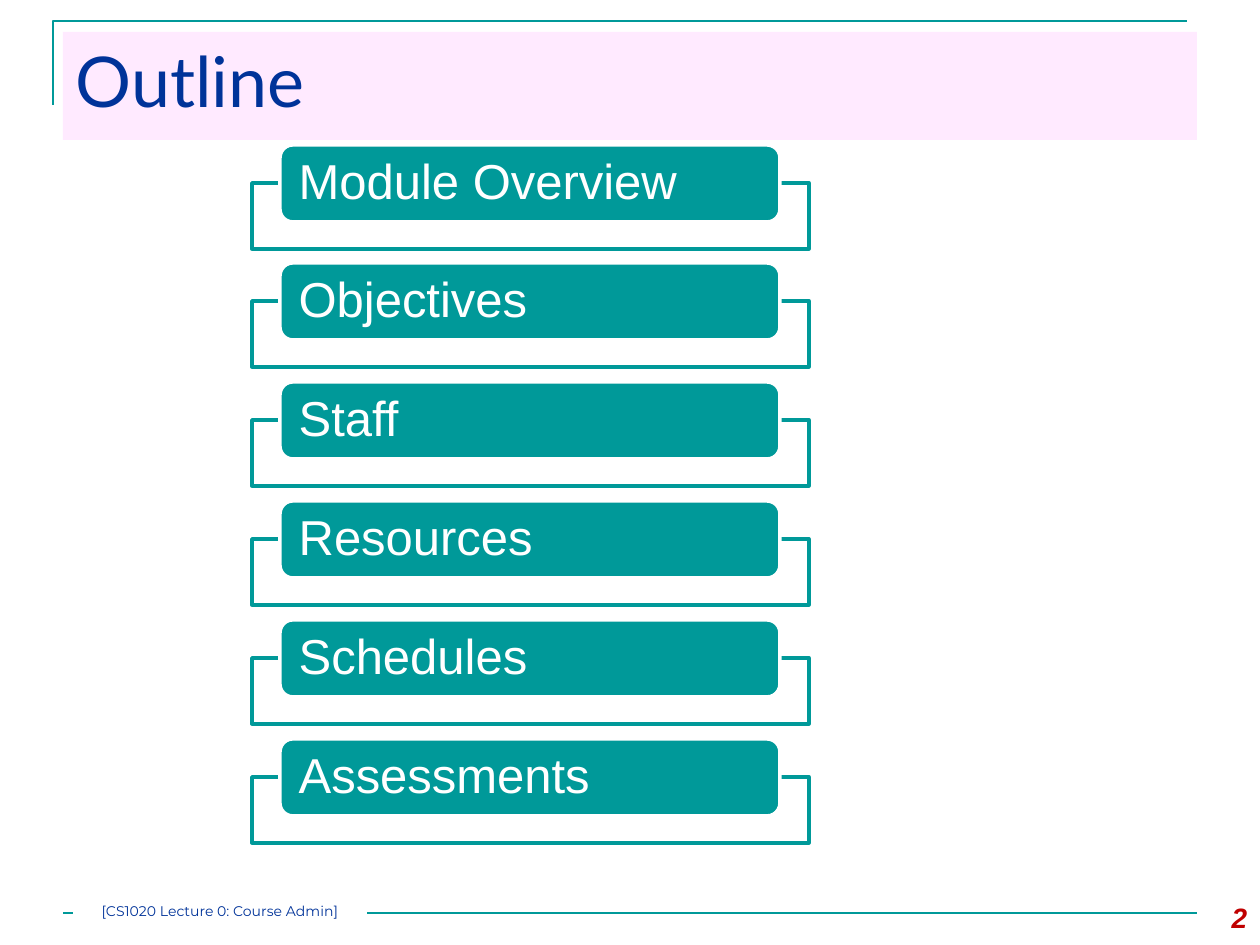
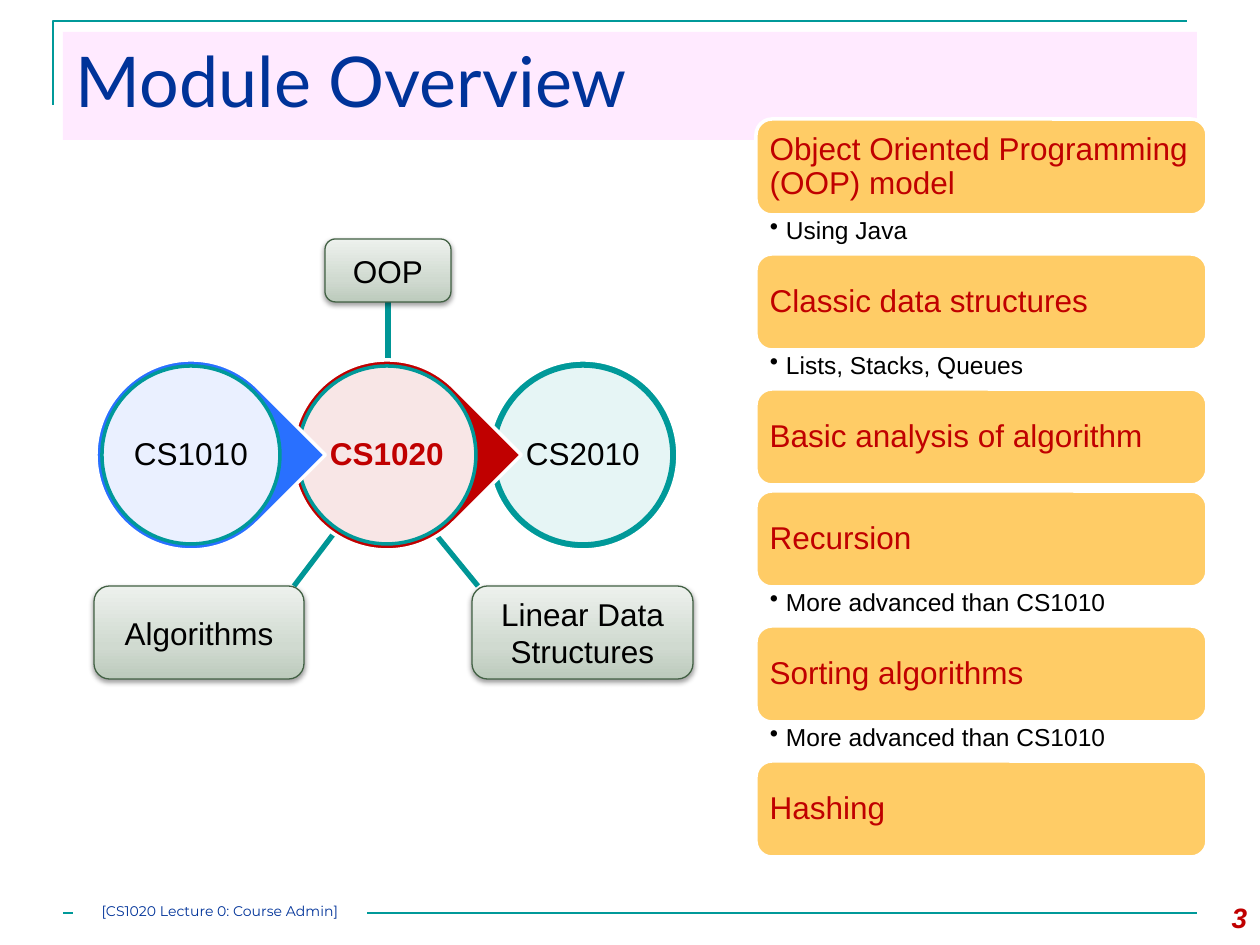
from dataclasses import dataclass

from lxml.etree import SubElement
from pptx import Presentation
from pptx.dml.color import RGBColor
from pptx.enum.shapes import MSO_CONNECTOR, MSO_SHAPE
from pptx.enum.text import MSO_ANCHOR, PP_ALIGN
from pptx.oxml.ns import qn
from pptx.util import Emu, Pt

EMU_PER_PX = 914400 / 126


@dataclass(frozen=True)
class Theme:
    teal: str = "009999"
    link: str = "009696"
    navy: str = "003399"
    red: str = "C00000"
    blue: str = "2970FF"
    pink: str = "FFCCFF"
    amber: str = "FFCC66"
    white: str = "FFFFFF"
    black: str = "000000"
    sage_edge: str = "426144"
    sage_stops: tuple = ((0, "BCCABC"), (35, "D0DAD0"), (100, "EDF1ED"))
    body_font: str = "Arial"
    title_font: str = "Lato"
    footer_font: str = "Montserrat"
    title_size: int = 40
    outline_size: int = 28
    label_size: int = 18
    page_size: int = 16
    bullet_size: int = 14
    footer_size: int = 8


THEME = Theme()


# Basic helpers
def px(length):
    return Emu(round(length * EMU_PER_PX))


def color(value):
    return RGBColor.from_string(value)


def add_box(slide, kind, left, top, width, height, fill=None, line=None,
            weight=2, opacity=100):
    shape = slide.shapes.add_shape(kind, px(left), px(top), px(width), px(height))
    shape.shadow.inherit = False
    if fill:
        shape.fill.solid()
        shape.fill.fore_color.rgb = color(fill)
        if opacity < 100:
            solid = shape._element.spPr.find(qn("a:solidFill"))
            SubElement(solid[0], qn("a:alpha"), val=str(opacity * 1000))
    if line:
        shape.line.color.rgb = color(line)
        shape.line.width = Pt(weight)
    else:
        shape.line.fill.background()
    return shape


def add_text_box(slide, left, top, width, height):
    return slide.shapes.add_textbox(px(left), px(top), px(width), px(height))


def write(shape, text, size, ink, font=THEME.body_font, align=PP_ALIGN.LEFT,
          anchor=MSO_ANCHOR.MIDDLE, insets=(13, 6), spacing=None,
          bold=False, italic=False):
    frame = shape.text_frame
    frame.word_wrap = True
    frame.vertical_anchor = anchor
    frame.margin_left = frame.margin_right = px(insets[0])
    frame.margin_top = frame.margin_bottom = px(insets[1])
    paragraph = frame.paragraphs[0]
    paragraph.alignment = align
    if spacing:
        paragraph.line_spacing = spacing
    run = paragraph.add_run()
    run.text = text
    run.font.name = font
    run.font.size = Pt(size)
    run.font.bold = bold
    run.font.italic = italic
    run.font.color.rgb = color(ink)
    return paragraph


def add_line(slide, start, end, ink, weight):
    connector = slide.shapes.add_connector(
        MSO_CONNECTOR.STRAIGHT, *(px(value) for value in (*start, *end)))
    connector.line.color.rgb = color(ink)
    connector.line.width = Pt(weight)
    SubElement(connector._element.spPr, qn("a:effectLst"))
    return connector


# Frame shared by every slide
def add_frame(slide, title, number):
    builder = slide.shapes.build_freeform(53, 105, scale=EMU_PER_PX)
    builder.add_line_segments([(53, 21), (1187, 21)], close=False)
    corner = builder.convert_to_shape()
    corner.shadow.inherit = False
    corner.fill.background()
    corner.line.color.rgb = color(THEME.teal)
    corner.line.width = Pt(1.5)

    add_line(slide, (63, 913), (1197, 913), THEME.teal, 1.5)
    footer = add_box(slide, MSO_SHAPE.RECTANGLE, 73, 903, 294, 21, THEME.white)
    write(footer, "[CS1020 Lecture 0: Course Admin]", THEME.footer_size, THEME.navy,
          THEME.footer_font, PP_ALIGN.CENTER, MSO_ANCHOR.TOP, (0, 0))

    page = add_text_box(slide, 1176, 895, 84, 50)
    write(page, str(number), THEME.page_size, THEME.red, align=PP_ALIGN.RIGHT,
          anchor=MSO_ANCHOR.TOP, bold=True, italic=True)

    band = add_box(slide, MSO_SHAPE.RECTANGLE, 63, 32, 1134, 108, THEME.pink, opacity=40)
    write(band, title, THEME.title_size, THEME.navy, THEME.title_font,
          anchor=MSO_ANCHOR.TOP)


# Outline slide
def add_outline_item(slide, top, text):
    add_box(slide, MSO_SHAPE.RECTANGLE, 252, top + 38, 557, 66,
            THEME.white, THEME.teal, opacity=90)
    pill = add_box(slide, MSO_SHAPE.ROUNDED_RECTANGLE, 280, top, 500, 77,
                   THEME.teal, THEME.white)
    write(pill, text, THEME.outline_size, THEME.white, insets=(15, 0), spacing=0.9)


# Module overview slide
def add_topic_box(slide, left, top, width, height, text):
    box = add_box(slide, MSO_SHAPE.ROUNDED_RECTANGLE, left, top, width, height,
                  line=THEME.sage_edge, weight=0.75)
    box.fill.gradient()
    box.fill.gradient_angle = 90
    properties = box._element.spPr
    stops = properties.find(qn("a:gradFill")).find(qn("a:gsLst"))
    for stop in list(stops):
        stops.remove(stop)
    for position, value in THEME.sage_stops:
        stop = SubElement(stops, qn("a:gs"), pos=str(position * 1000))
        SubElement(stop, qn("a:srgbClr"), val=value)
    shadow = SubElement(properties.find(qn("a:effectLst")), qn("a:outerShdw"),
                        blurRad=str(Pt(3.1)), dist=str(Pt(1.6)),
                        dir="5400000", rotWithShape="0")
    shade = SubElement(shadow, qn("a:srgbClr"), val=THEME.black)
    SubElement(shade, qn("a:alpha"), val="38000")
    write(box, text, THEME.label_size, THEME.black, align=PP_ALIGN.CENTER)
    return box


def add_module(slide, left, text, fill, leads_on=True, current=False):
    kind = MSO_SHAPE.TEAR if leads_on else MSO_SHAPE.OVAL
    backing = add_box(slide, kind, left, 360, 190, 190, fill, THEME.white)
    backing.rotation = 45 if leads_on else 0
    disc = add_box(slide, MSO_SHAPE.OVAL, left + 6, 366, 178, 178,
                   THEME.white, THEME.teal, opacity=90)
    write(disc, text, THEME.label_size, THEME.red if current else THEME.black,
          align=PP_ALIGN.CENTER, insets=(4, 4), spacing=0.9, bold=current)


def add_card(slide, top, text):
    card = add_box(slide, MSO_SHAPE.ROUNDED_RECTANGLE, 756, top, 451, 96,
                   THEME.amber, THEME.white)
    write(card, text, THEME.label_size, THEME.red, insets=(9, 9), spacing=0.9)


def add_bullet(slide, top, text):
    note = add_text_box(slide, 756, top, 451, 39)
    paragraph = write(note, text, THEME.bullet_size, THEME.black,
                      anchor=MSO_ANCHOR.TOP, insets=(14, 3), spacing=0.9)
    properties = paragraph._p.get_or_add_pPr()
    properties.set("marL", str(px(16)))
    properties.set("indent", str(-px(16)))
    SubElement(properties, qn("a:buChar"), char="•")


def build_outline(slide):
    add_frame(slide, "Outline", 2)
    items = ("Module Overview", "Objectives", "Staff",
             "Resources", "Schedules", "Assessments")
    for index, text in enumerate(items):
        add_outline_item(slide, 145 + 594 * index // 5, text)


def build_overview(slide):
    add_frame(slide, "Module Overview", 3)

    # Topics linked to the current module
    add_line(slide, (478, 586), (410, 503), THEME.link, 3)
    add_line(slide, (294, 586), (357, 503), THEME.link, 3)
    stem = add_line(slide, (388, 387), (388, 302), THEME.link, 3)
    add_topic_box(slide, 472, 586, 221, 93, "Linear Data Structures")
    add_topic_box(slide, 94, 586, 210, 93, "Algorithms")
    stem.end_connect(add_topic_box(slide, 325, 239, 126, 63, "OOP"), 2)

    # Chain of modules, last one at the back
    add_module(slide, 488, "CS2010", THEME.teal, leads_on=False)
    add_module(slide, 292, "CS1020", THEME.red, current=True)
    add_module(slide, 96, "CS1010", THEME.blue)

    # Stack of contents
    contents = (
        ("Object Oriented Programming (OOP) model", "Using Java"),
        ("Classic data structures", "Lists, Stacks, Queues"),
        ("Basic analysis of algorithm", None),
        ("Recursion", "More advanced than CS1010"),
        ("Sorting algorithms", "More advanced than CS1010"),
        ("Hashing", None),
    )
    top = 119
    for heading, detail in contents:
        add_card(slide, top, heading)
        top += 96
        if detail:
            add_bullet(slide, top, detail)
        top += 39 if detail else 6


def main():
    presentation = Presentation()
    presentation.slide_width = px(1260)
    presentation.slide_height = px(945)
    blank = presentation.slide_layouts[6]
    for build in (build_outline, build_overview):
        build(presentation.slides.add_slide(blank))
    presentation.save("out.pptx")


if __name__ == "__main__":
    main()
